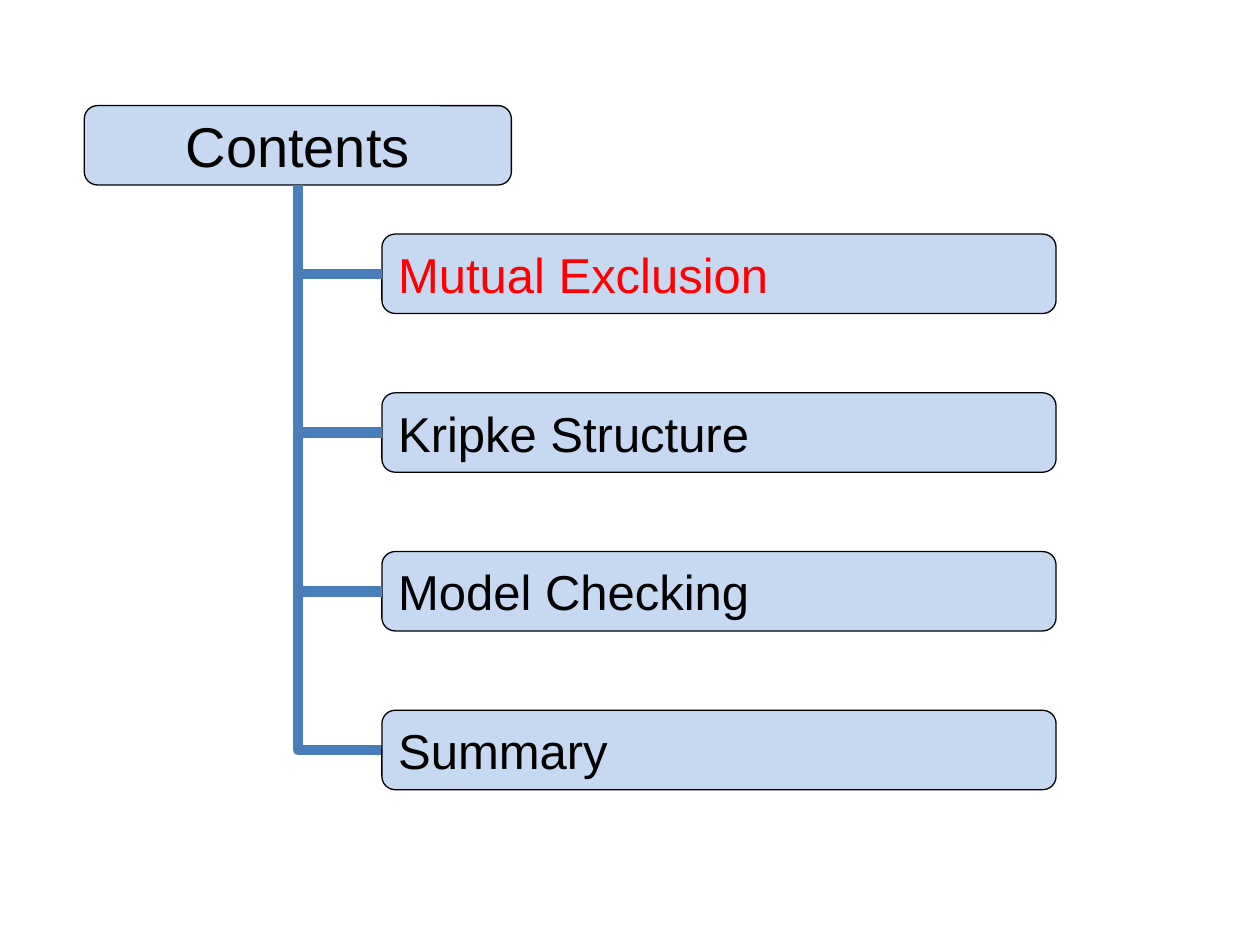
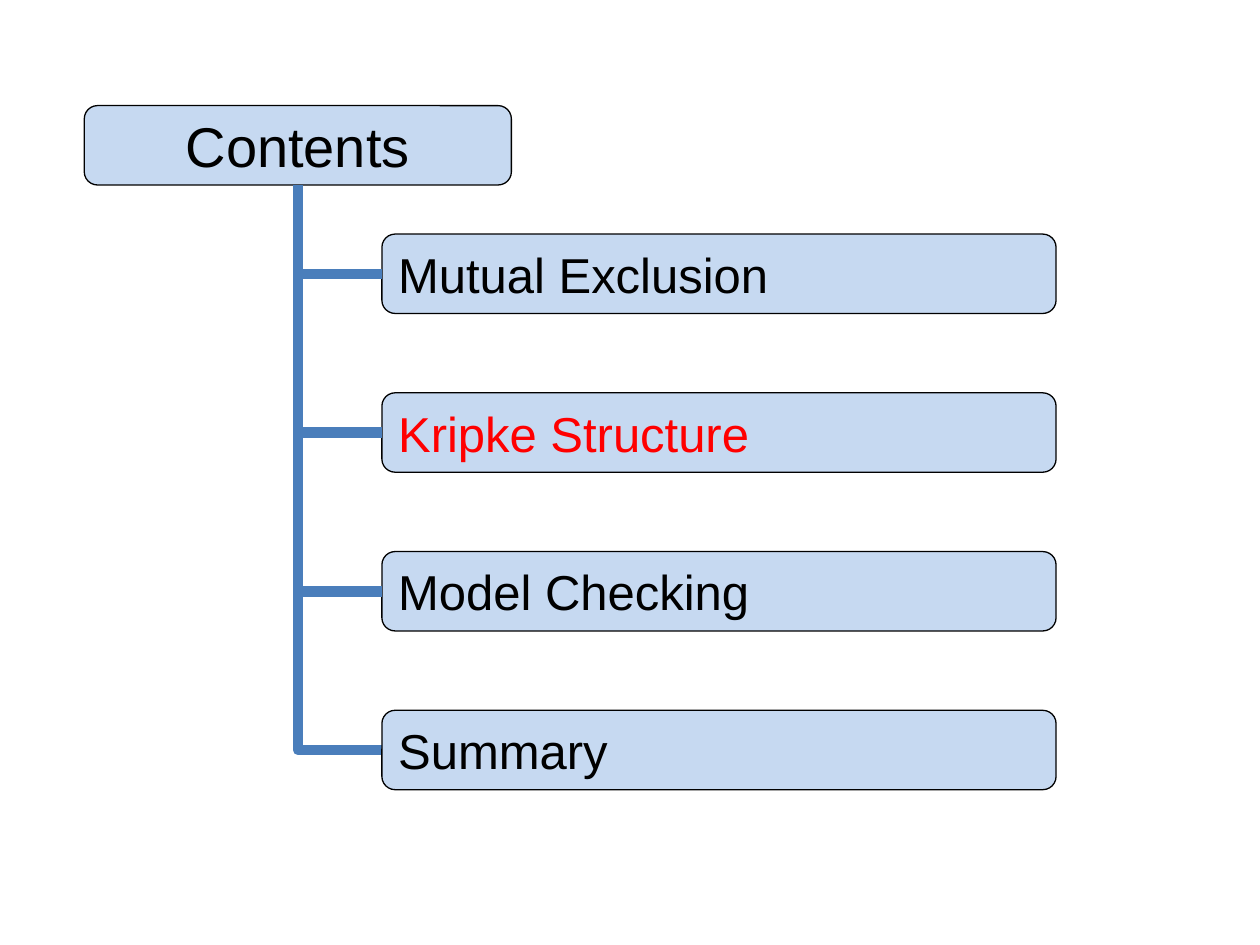
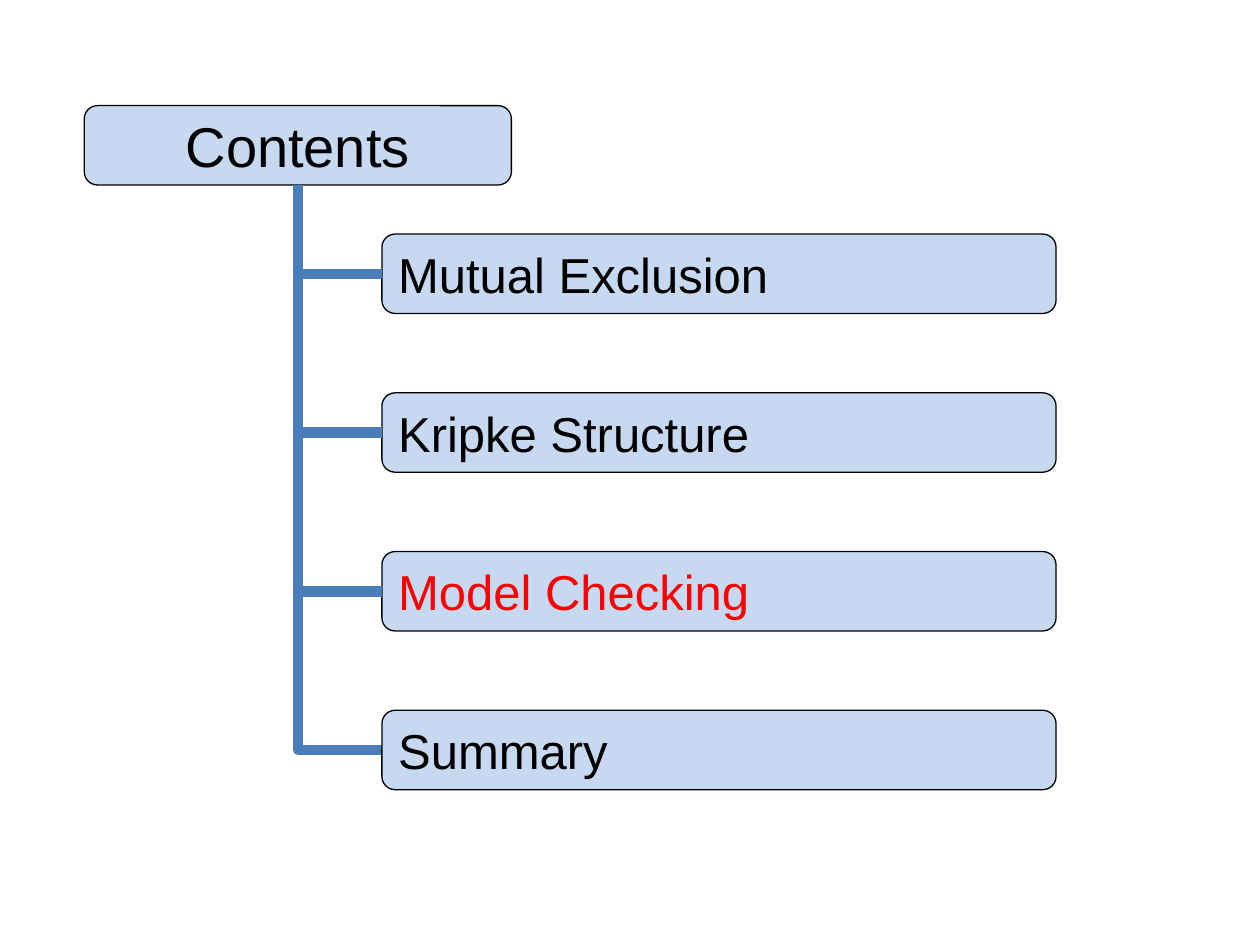
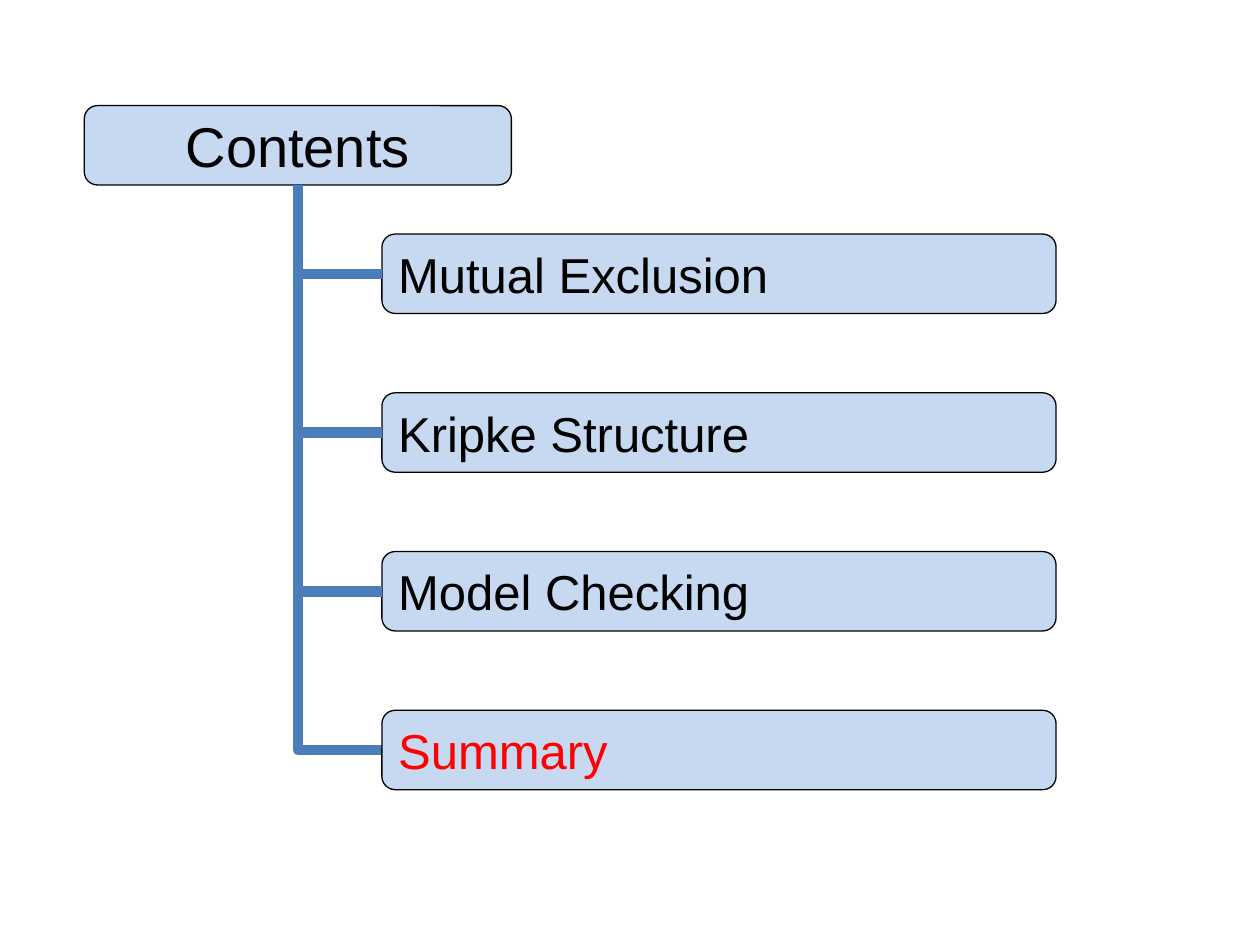
from pptx import Presentation
from pptx import util as u
from pptx.dml.color import RGBColor
from pptx.enum import shapes, text
from pptx.oxml import ns, xmlchemy

TOPICS = ["Mutual Exclusion", "Kripke Structure", "Model Checking", "Summary"]
LEFT, TOP, HIGH = 7.7, 4.72, 1.6
WIDE, STEP = 13.59, 3.2
ROOT_X, ROOT_Y, ROOT_W = 1.7, 2.13, 8.61


def tint(code):
    return RGBColor.from_string(code)


class Deck:
    font = "Arial"
    pale, blue = "C6D9F1", "4A7EBB"
    ink, red = "000000", "FF0000"

    def __init__(self):
        self.prs = Presentation()
        self.prs.slide_width = u.Cm(25.4)
        self.prs.slide_height = u.Cm(19.05)
        self.slide = None

    def page(self):
        self.slide = self.prs.slides.add_slide(self.prs.slide_layouts[6])

    def box(self, words, x, y, wide, size, ink, align):
        node = self.slide.shapes.add_shape(
            shapes.MSO_SHAPE.FLOWCHART_ALTERNATE_PROCESS,
            u.Cm(x), u.Cm(y), u.Cm(wide), u.Cm(HIGH))
        node.shadow.inherit = False
        node.fill.solid()
        node.fill.fore_color.rgb = tint(self.pale)
        node.line.color.rgb = tint(self.ink)
        node.line.width = u.Pt(0.75)
        frame = node.text_frame
        frame.word_wrap = False
        frame.vertical_anchor = text.MSO_ANCHOR.MIDDLE
        frame.text = words
        para = frame.paragraphs[0]
        para.alignment = align
        font = para.runs[0].font
        font.name = self.font
        font.size = u.Pt(size)
        font.color.rgb = tint(ink)

    def link(self, x1, y1, x2, y2):
        line = self.slide.shapes.add_connector(
            shapes.MSO_CONNECTOR.ELBOW,
            u.Cm(x1), u.Cm(y1), u.Cm(x2), u.Cm(y2))
        line.line.color.rgb = tint(self.blue)
        line.line.width = u.Pt(6)
        props = line.element.spPr
        props.append(xmlchemy.OxmlElement("a:effectLst"))
        return line

    def trunk(self, x1, y1, x2, y2):
        wide, high = y2 - y1, x2 - x1
        left = (x1 + x2 - wide) / 2
        top = (y1 + y2 - high) / 2
        line = self.link(left, top, left + wide, top + high)
        props = line.element.spPr
        props.find(ns.qn("a:prstGeom")).set("prst", "bentConnector2")
        frame = props.find(ns.qn("a:xfrm"))
        frame.set("rot", "16200000")
        frame.set("flipH", "1")

    def tree(self, active):
        stem = ROOT_X + ROOT_W / 2
        last = len(TOPICS) - 1
        self.page()
        self.box("Contents", ROOT_X, ROOT_Y, ROOT_W, 32, self.ink,
                 text.PP_ALIGN.CENTER)
        self.trunk(stem, ROOT_Y + HIGH, LEFT, TOP + last * STEP + HIGH / 2)
        for i, topic in enumerate(TOPICS):
            y = TOP + i * STEP
            ink = self.red if i == active else self.ink
            self.box(topic, LEFT, y, WIDE, 28, ink, text.PP_ALIGN.LEFT)
            if i < last:
                mid = y + HIGH / 2
                self.link(stem, mid, LEFT, mid)


def main():
    deck = Deck()
    for i in range(len(TOPICS)):
        deck.tree(i)
    deck.prs.save("out.pptx")


if __name__ == "__main__":
    main()
